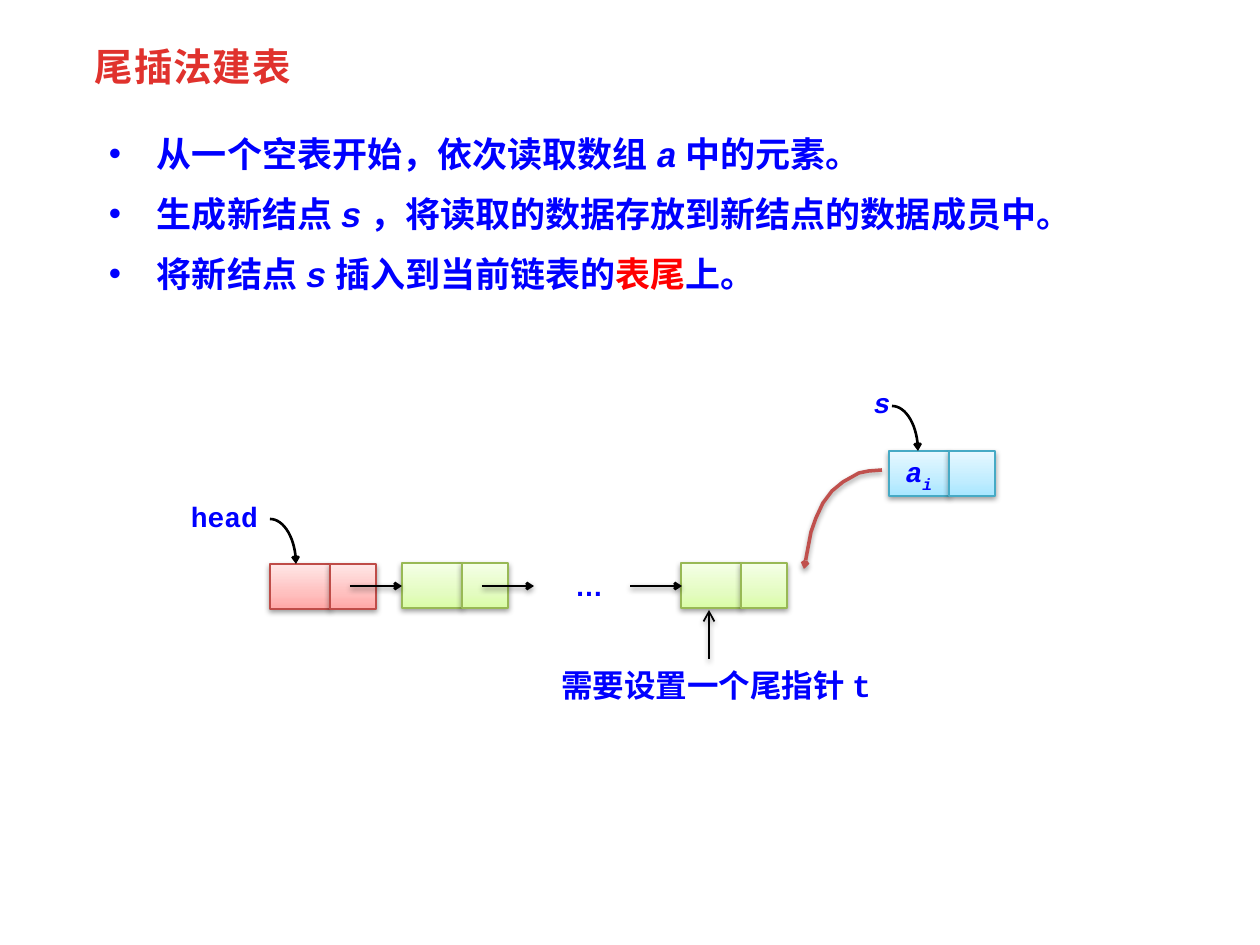
from copy import deepcopy

from lxml.etree import SubElement
from pptx import Presentation
from pptx.dml.color import RGBColor
from pptx.enum.shapes import MSO_CONNECTOR, MSO_SHAPE
from pptx.enum.text import MSO_ANCHOR, PP_ALIGN
from pptx.oxml.ns import qn
from pptx.util import Pt

PX = 914400 / 126
RECT = MSO_SHAPE.RECTANGLE
STRAIGHT = MSO_CONNECTOR.STRAIGHT
LEFT, CENTER = PP_ALIGN.LEFT, PP_ALIGN.CENTER
TOP, MIDDLE = MSO_ANCHOR.TOP, MSO_ANCHOR.MIDDLE
CJK, MONO, SANS = "Noto Sans CJK SC", "Courier New", "Arial"
BLUE, RED, TITLE_RED, CURVE_RED = "0000FF", "FF0000", "E0322D", "C0504D"
BLACK, WHITE = "000000", "FFFFFF"
PINK_NODE = ("FFA6A5", "FFC0BF", "FFE7E7", "BF4C48")
GREEN_NODE = ("DAFDA7", "E4FCC2", "F5FFE7", "98B955")
CYAN_NODE = ("A7E6FF", "C1EDFF", "E7F8FF", "46AAC5")
DATA_WIDTH, LINK_WIDTH, NODE_HEIGHT = 60, 46, 45


def px(*lengths):
    """Turn px lengths into EMU."""
    return [round(length * PX) for length in lengths]


def color(value):
    """Turn a hex string into a colour."""
    return RGBColor.from_string(value)


def set_effect(shape, shadow=False):
    """Give a shape a soft drop shadow, or none."""
    effects = SubElement(shape.element.spPr, qn("a:effectLst"))
    if shadow:
        outer = SubElement(effects, qn("a:outerShdw"), blurRad="40000",
                           dist="20000", dir="5400000", rotWithShape="0")
        tone = SubElement(outer, qn("a:srgbClr"), val=BLACK)
        SubElement(tone, qn("a:alpha"), val="38000")


def set_arrow(shape, hue=BLACK, width=1.5, head="sm", shadow=True):
    """Style a line or curve that ends in an arrowhead."""
    shape.line.color.rgb = color(hue)
    shape.line.width = Pt(width)
    SubElement(shape.element.spPr.find(qn("a:ln")), qn("a:tailEnd"),
               type="arrow", w=head, len=head)
    set_effect(shape, shadow)


def write(shape, paragraphs, size=16, font=MONO, hue=BLUE, align=CENTER,
          anchor=MIDDLE, insets=(0, 0, 0, 0), wrap=True, before=None,
          line=None, bullet=False, spacing=None):
    """Fill a shape with paragraphs made of (text, format) spans."""
    frame = shape.text_frame
    frame.word_wrap = wrap
    frame.vertical_anchor = anchor
    (frame.margin_left, frame.margin_top,
     frame.margin_right, frame.margin_bottom) = px(*insets)
    for index, spans in enumerate(paragraphs):
        para = frame.add_paragraph() if index else frame.paragraphs[0]
        para.alignment = align
        if line:
            para.line_spacing = Pt(line)
        props = para._p.get_or_add_pPr()
        if before:
            gap = SubElement(props, qn("a:spcBef"))
            SubElement(gap, qn("a:spcPct"), val=str(before * 1000))
        if bullet:
            indent = px(48)[0]
            props.set("marL", str(indent))
            props.set("indent", str(-indent))
            SubElement(props, qn("a:buFont"), typeface=SANS)
            SubElement(props, qn("a:buChar"), char="•")
        for text, style in spans:
            span = para.add_run()
            span.text = text
            span.font.size = Pt(size)
            span.font.bold = True
            span.font.italic = style.get("italic", False)
            span.font.name = font
            span.font.color.rgb = color(style.get("hue", hue))
            run_props = span._r.get_or_add_rPr()
            SubElement(run_props, qn("a:ea"), typeface=CJK)
            if "base" in style:
                run_props.set("baseline", str(style["base"] * 1000))
            if spacing:
                run_props.set("spc", str(spacing))


def add_panel(page, box):
    """Add a white rectangle without an outline."""
    panel = page.shapes.add_shape(RECT, *px(*box))
    panel.fill.solid()
    panel.fill.fore_color.rgb = color(WHITE)
    panel.line.fill.background()
    set_effect(panel)
    return panel


def add_label(page, box, text, font=MONO, italic=False):
    """Add a short centred label."""
    write(add_panel(page, box), [[(text, {"italic": italic})]], font=font)


def add_cell(page, box, palette):
    """Add one gradient cell of a list node."""
    *tones, edge = palette
    cell = page.shapes.add_shape(RECT, *px(*box))
    cell.fill.gradient()
    cell.fill.gradient_angle = 90
    stops = cell.element.spPr.find(".//" + qn("a:gsLst"))
    stops.insert(1, deepcopy(stops[0]))
    for stop, position, tone in zip(cell.fill.gradient_stops, (0, 0.35, 1), tones):
        stop.position = position
        stop.color.rgb = color(tone)
    cell.line.color.rgb = color(edge)
    cell.line.width = Pt(0.75)
    set_effect(cell, shadow=True)
    return cell


def add_node(page, left, top, palette):
    """Add a list node and return its data cell."""
    data = add_cell(page, (left, top, DATA_WIDTH, NODE_HEIGHT), palette)
    add_cell(page, (left + DATA_WIDTH, top, LINK_WIDTH, NODE_HEIGHT), palette)
    return data


def add_arrow(page, start, end, **style):
    """Add a straight arrow between two points."""
    set_arrow(page.shapes.add_connector(STRAIGHT, *px(*start, *end)), **style)


def add_curve(page, points, **style):
    """Add an open outline through points, ending in an arrowhead."""
    first, *rest = [px(*point) for point in points]
    builder = page.shapes.build_freeform(*first)
    builder.add_line_segments(rest, close=False)
    curve = builder.convert_to_shape()
    curve.fill.background()
    set_arrow(curve, **style)


def add_pointer(page, left, top, width=26, height=45):
    """Add a quarter arc that bends down onto a node."""
    points = []
    for step in range(17):
        t = step / 16
        across = 3 * t * (1 - t) ** 2 * 0.55 + 3 * t ** 2 * (1 - t) + t ** 3
        down = 3 * t ** 2 * (1 - t) * 0.45 + t ** 3
        points.append((left + width * across, top + height * down))
    add_curve(page, points, shadow=False)


def add_title(page, box):
    """Add the slide title."""
    write(page.shapes.add_textbox(*px(*box)), [[("尾插法建表", {})]], size=22,
          font=CJK, hue=TITLE_RED, align=LEFT, anchor=TOP,
          insets=(13, 6, 13, 6), before=50, spacing=50)


def add_steps(page, box):
    """Add the bulleted steps of the method."""
    slant = {"italic": True}
    steps = [
        [("从一个空表开始，依次读取数组", {}), ("a", slant), ("中的元素。", {})],
        [("生成新结点", {}), ("s", slant),
         ("，将读取的数据存放到新结点的数据成员中。", {})],
        [("将新结点", {}), ("s", slant), ("插入到当前链表的", {}),
         ("表尾", {"hue": RED}), ("上。", {})],
    ]
    write(add_panel(page, box), steps, size=20, align=LEFT, anchor=TOP,
          insets=(25, 15, 13, 15), before=50, bullet=True)


def add_list(page, left, top):
    """Add the linked list with its head pointer."""
    add_node(page, left, top + 1, PINK_NODE)
    add_label(page, (left - 92, top - 65, 93, 37), "head")
    add_pointer(page, left, top - 44)
    for offset in (132, 411):
        add_node(page, left + offset, top, GREEN_NODE)
    add_label(page, (left + 292, top + 4, 54, 37), "…", font=SANS)
    for offset in (80, 212, 360):
        add_arrow(page, (left + offset, top + 23), (left + offset + 52, top + 23))


def add_new_node(page, left, top):
    """Add the new node, its pointer and the curve to the list end."""
    data = add_node(page, left, top, CYAN_NODE)
    write(data, [[("a", {"italic": True}), ("i", {"italic": True, "base": -30})]],
          line=23)
    add_label(page, (left - 21, top - 67, 28, 37), "s", italic=True)
    add_pointer(page, left + 3, top - 45)
    route = [(-7, 19), (-20, 20), (-30, 22), (-46, 31), (-57, 40),
             (-66, 52), (-73, 67), (-78, 81), (-85, 118)]
    add_curve(page, [(left + x, top + y) for x, y in route],
              hue=CURVE_RED, width=2)


def add_tail_note(page, left, top, width, height):
    """Add the note on the tail pointer with its arrow."""
    add_arrow(page, (left + 165, top - 1), (left + 165, top - 50),
              width=1, head="med")
    write(page.shapes.add_textbox(*px(left, top, width, height)),
          [[("需要设置一个尾指针t", {})]], size=18, anchor=TOP,
          insets=(0, 6, 0, 6), before=50)


def main():
    """Build and save the deck."""
    deck = Presentation()
    deck.slide_width, deck.slide_height = px(1260, 945)
    page = deck.slides.add_slide(deck.slide_layouts[6])
    add_title(page, (82, 37, 237, 59))
    add_steps(page, (84, 118, 1121, 199))
    add_list(page, 270, 563)
    add_new_node(page, 889, 451)
    add_tail_note(page, 544, 660, 344, 50)
    deck.save("out.pptx")


if __name__ == "__main__":
    main()
